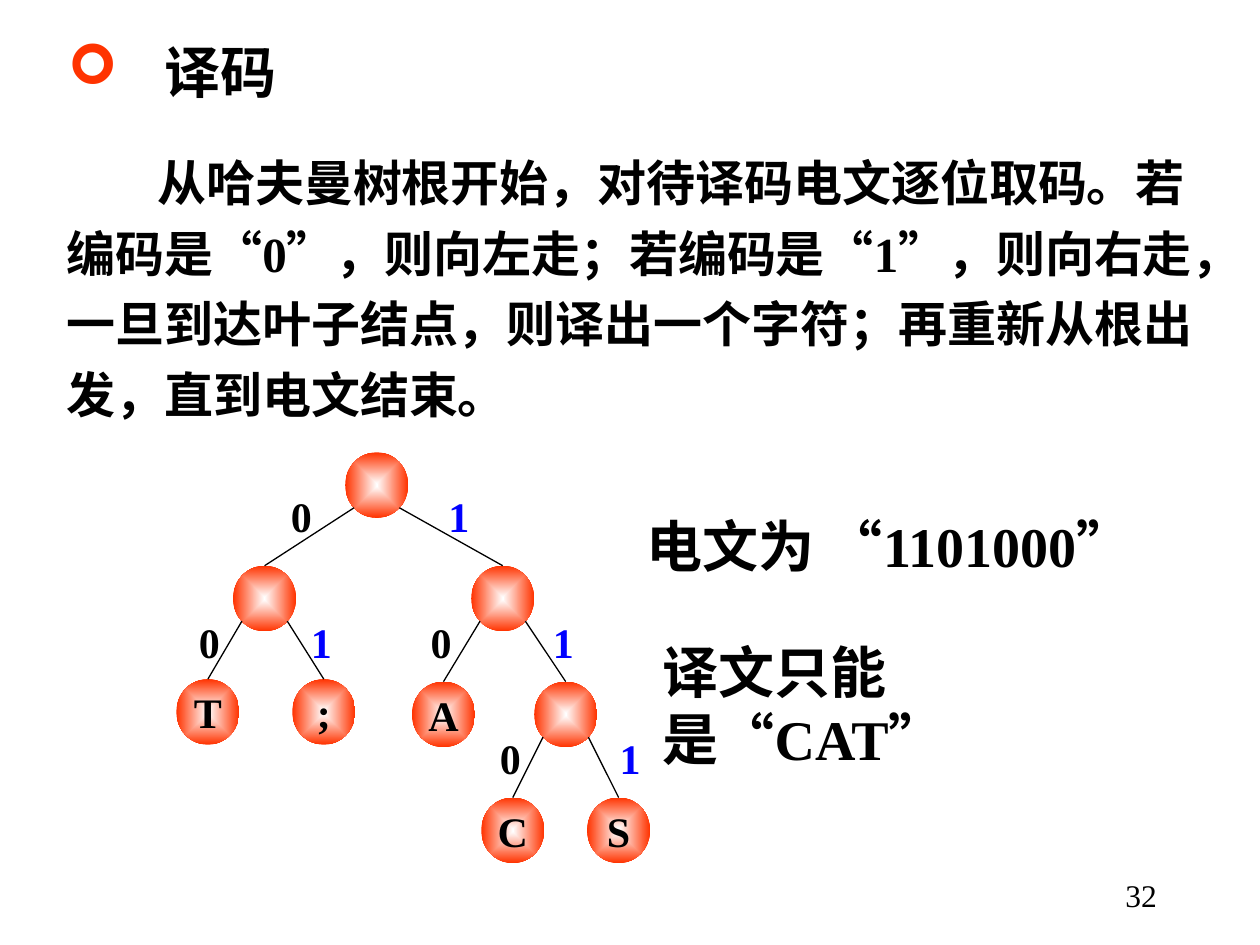
import pptx
import pptx.util
import pptx.dml.color
import pptx.enum.dml
import pptx.enum.lang
import pptx.enum.shapes
import pptx.enum.text
import pptx.oxml
import pptx.oxml.ns

Inches = pptx.util.Inches
RGBColor = pptx.dml.color.RGBColor
Align = pptx.enum.text.PP_ALIGN
Anchor = pptx.enum.text.MSO_ANCHOR

BLACK = RGBColor(0x00, 0x00, 0x00)
BLUE = RGBColor(0x00, 0x00, 0xFF)
RED = RGBColor(0xFF, 0x33, 0x00)
WHITE = RGBColor(0xFF, 0xFF, 0xFF)
FONT = "Times New Roman"

NODE_WIDTH, NODE_HEIGHT = 0.5, 0.52
EDGE_OFFSET = 0.18  # from a node's centre to the start of its edges

# Tree nodes: name -> (left, top, letter)
NODES = {
    "root": (2.74, 3.59, ""),
    "left": (1.85, 4.49, ""),
    "right": (3.74, 4.49, ""),
    "T": (1.4, 5.39, "T"),
    "semicolon": (2.32, 5.39, ";"),
    "A": (3.27, 5.41, "A"),
    "inner": (4.24, 5.41, ""),
    "C": (3.82, 6.33, "C"),
    "S": (4.66, 6.33, "S"),
}

# Branches: parent, (child 0, label left), (child 1, label left), label top
BRANCHES = [
    ("root", ("left", 2.21), ("right", 3.46), 3.84),
    ("left", ("T", 1.48), ("semicolon", 2.37), 4.84),
    ("right", ("A", 3.32), ("inner", 4.29), 4.84),
    ("inner", ("C", 3.87), ("S", 4.82), 5.76),
]

BODY = ("从哈夫曼树根开始，对待译码电文逐位取码。若编码是“0”，则向左走；"
        "若编码是“1”，则向右走，一旦到达叶子结点，则译出一个字符；"
        "再重新从根出发，直到电文结束。")


def write_text(frame, text, size=24, color=BLACK, bold=True, align=Align.LEFT,
               anchor=Anchor.TOP, wrap=False, spacing=None, margin=0, indent=0,
               bullet=None):
    """Fill a text frame with one formatted paragraph."""
    frame.word_wrap = wrap
    frame.vertical_anchor = anchor
    para = frame.paragraphs[0]
    para.text = text
    para.alignment = align
    para.line_spacing = spacing
    properties = para._p.get_or_add_pPr()
    properties.set("marL", str(Inches(margin)))
    properties.set("indent", str(Inches(indent)))
    if bullet:
        ns = pptx.oxml.ns.nsdecls("a")
        for xml in (f'<a:buClr {ns}><a:srgbClr val="{RED}"/></a:buClr>',
                    f'<a:buFont {ns} typeface="Wingdings"/>',
                    f'<a:buChar {ns} char="{bullet}"/>'):
            properties.append(pptx.oxml.parse_xml(xml))
    for span in para.runs:
        span.font.name = FONT
        span.font.size = pptx.util.Pt(size)
        span.font.bold = bold
        span.font.color.rgb = color
        span.font.language_id = pptx.enum.lang.MSO_LANGUAGE_ID.SIMPLIFIED_CHINESE


def add_text(page, left, top, width, height, text, **style):
    box = page.shapes.add_textbox(Inches(left), Inches(top), Inches(width), Inches(height))
    write_text(box.text_frame, text, **style)


def add_node(page, left, top, letter):
    """Draw a tree node that shades from a white centre to a red rim."""
    node = page.shapes.add_shape(
        pptx.enum.shapes.MSO_SHAPE.OVAL,
        Inches(left), Inches(top), Inches(NODE_WIDTH), Inches(NODE_HEIGHT))
    node.shadow.inherit = False
    node.line.fill.background()
    node.fill.gradient()
    for stop, color in zip(node.fill.gradient_stops, (WHITE, RED)):
        stop.color.rgb = color
    gradient = node._element.spPr.find(pptx.oxml.ns.qn("a:gradFill"))
    gradient.remove(gradient.find(pptx.oxml.ns.qn("a:lin")))
    gradient.append(pptx.oxml.parse_xml(
        f'<a:path {pptx.oxml.ns.nsdecls("a")} path="rect">'
        '<a:fillToRect l="50000" t="50000" r="50000" b="50000"/></a:path>'))
    if letter:
        frame = node.text_frame
        frame.margin_left = frame.margin_right = 0
        frame.margin_top = frame.margin_bottom = 0
        write_text(frame, letter, align=Align.CENTER, anchor=Anchor.MIDDLE)
    return node


def add_edge(page, parent, child, side):
    """Join a parent's lower side (-1 left, 1 right) to the top of a child."""
    start_x = parent.left + parent.width // 2 + side * Inches(EDGE_OFFSET)
    start_y = parent.top + parent.height // 2 + Inches(EDGE_OFFSET)
    edge = page.shapes.add_connector(
        pptx.enum.shapes.MSO_CONNECTOR.STRAIGHT,
        start_x, start_y, child.left + child.width // 2, child.top)
    edge.end_connect(child, 0)
    edge.line.color.rgb = BLACK
    edge.line.width = pptx.util.Pt(0.75)
    edge._element.spPr.append(pptx.oxml.parse_xml(
        f'<a:effectLst {pptx.oxml.ns.nsdecls("a")}/>'))


def add_tree(page):
    nodes = {name: add_node(page, *place) for name, place in NODES.items()}
    for parent, *children, label_top in BRANCHES:
        for bit, (child, label_left) in enumerate(children):
            add_edge(page, nodes[parent], nodes[child], (-1, 1)[bit])
            add_text(page, label_left, label_top, 0.36, 0.5, str(bit),
                     color=(BLACK, BLUE)[bit], align=Align.CENTER, anchor=Anchor.MIDDLE)


def main():
    deck = pptx.Presentation()
    deck.slide_width, deck.slide_height = Inches(10), Inches(7.5)
    page = deck.slides.add_slide(deck.slide_layouts[6])

    # Heading and explanation
    add_text(page, 0.44, 0.25, 2.01, 0.64, "译码", size=32,
             margin=0.77, indent=-0.77, bullet="➢")
    add_text(page, 0.43, 1.07, 9.29, 2.34, BODY, size=28, wrap=True,
             spacing=1.2, indent=0.72)

    # Huffman tree
    add_tree(page)

    # Message and its decoding
    add_text(page, 5.03, 4.01, 4.28, 0.64, "电文为 “1101000”", size=32)
    add_text(page, 5.16, 5.01, 4.33, 0.64, "译文只能\v是“CAT”", size=32)

    # Page number
    add_text(page, 7.2, 6.9, 2.08, 0.5, "32", size=18, bold=False,
             align=Align.RIGHT, wrap=True)

    deck.save("out.pptx")


if __name__ == "__main__":
    main()
